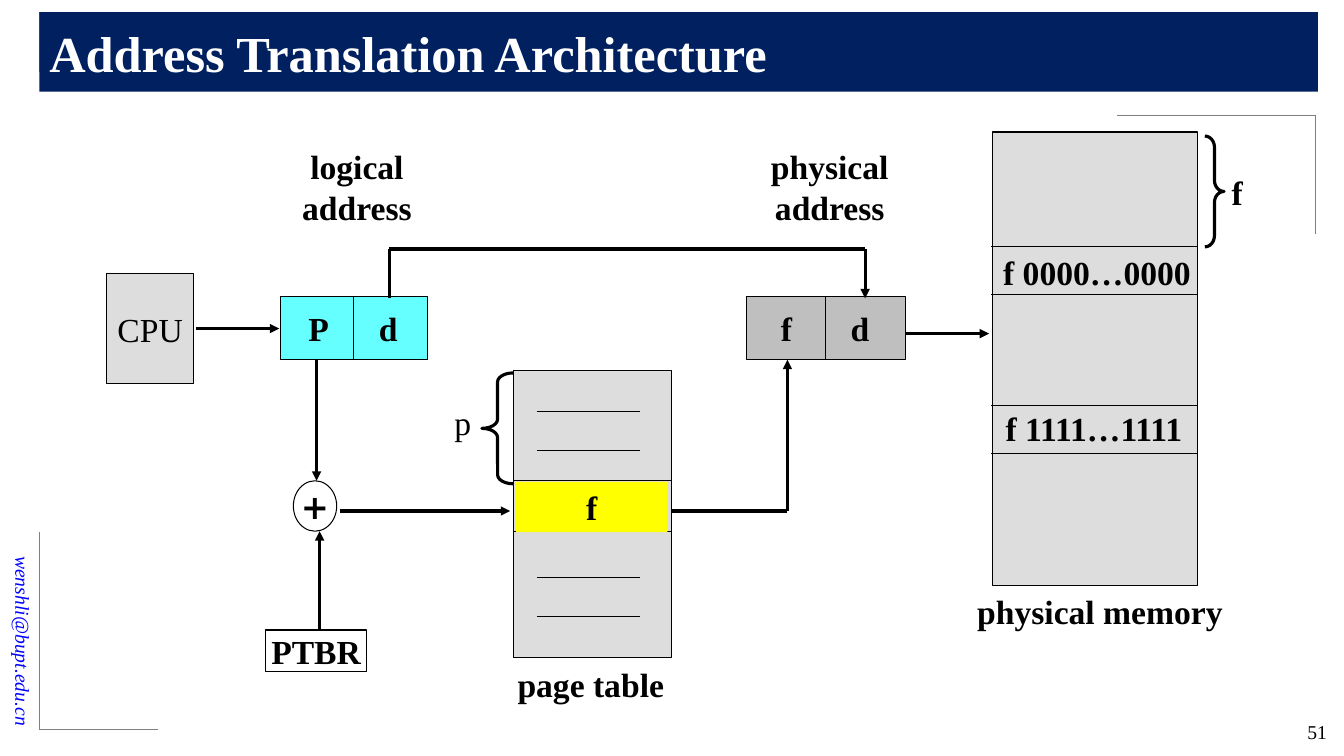
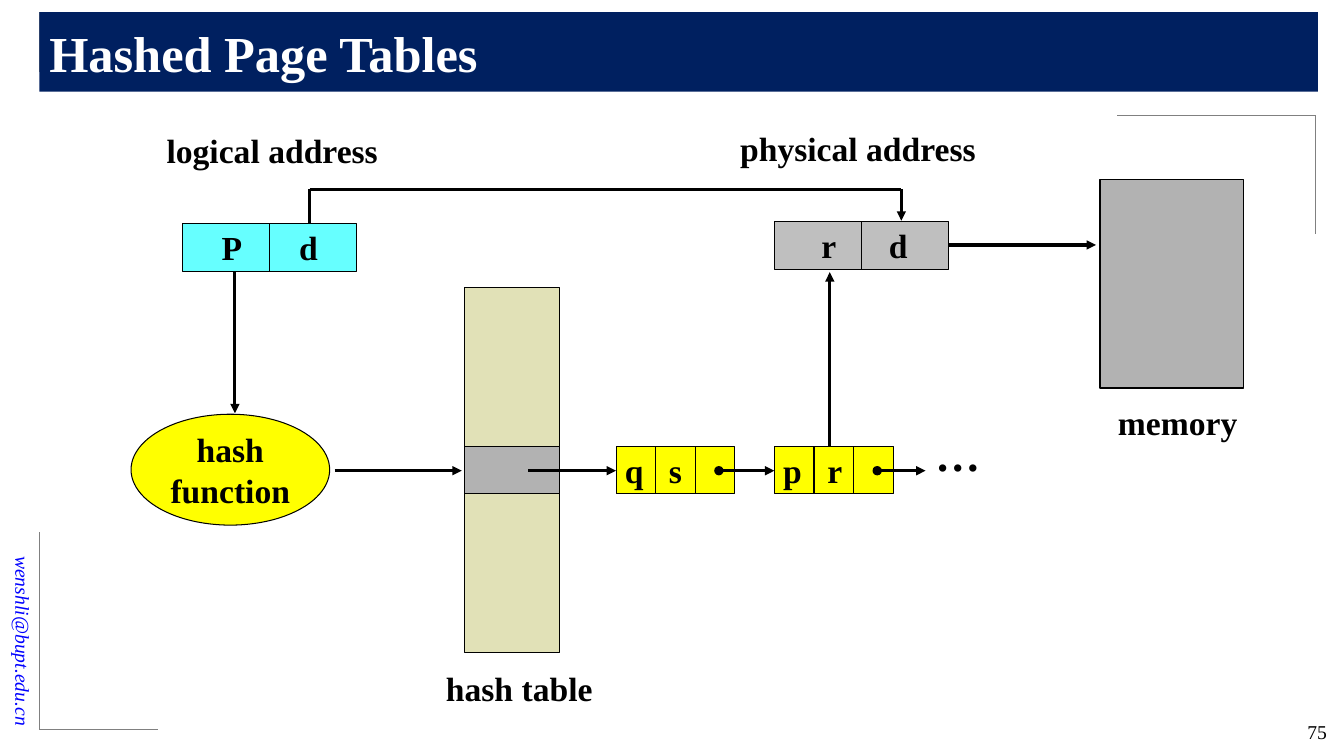
import pptx
import pptx.dml.color
import pptx.enum.shapes
import pptx.enum.text
import pptx.util
from pptx.oxml.ns import qn

SHAPE = pptx.enum.shapes.MSO_SHAPE
ALIGN = pptx.enum.text.PP_ALIGN
EMU_PER_PX = 9144  # 100 px to the inch

SERIF = "Times New Roman"
THEME = {
    "colours": {
        "navy": "002060", "white": "FFFFFF", "black": "000000", "blue": "0000FF",
        "rule": "808080", "light": "DDDDDD", "silver": "BFBFBF", "grey": "B2B2B2",
        "cyan": "66FFFF", "yellow": "FFFF00", "sand": "E1E1B7",
    },
    "fonts": {
        "title": {"name": SERIF, "size": 36, "bold": True, "color": "white"},
        "label": {"name": SERIF, "size": 24, "bold": True, "color": "black"},
        "plain": {"name": SERIF, "size": 24, "bold": False, "color": "black"},
        "symbol": {"name": "DejaVu Sans", "size": 24, "bold": True, "color": "black"},
        "dots": {"name": SERIF, "size": 32, "bold": True, "color": "black"},
        "contact": {"name": SERIF, "size": 14, "italic": True, "color": "blue"},
        "number": {"name": SERIF, "size": 14, "color": "black"},
    },
    "lines": {"frame": 0.5, "thin": 0.75, "thick": 2.25},
}

# ---- Content: positions in px, drawn from back to front ----
FRAME_CORNERS = [
    [(39, 71), (39, 12), (236, 12)],
    [(39, 528), (39, 724), (157, 724)],
    [(1305, 232), (1305, 114), (1108, 114)],
]
CONTACT = "wenshli@bupt.edu.cn"

ADDRESS_TRANSLATION = [
    ("box", {"area": (106, 271, 86, 110), "fill": "light", "text": "CPU", "font": "plain"}),
    ("label", {"text": "logical\naddress", "center": (354, 185)}),
    ("cells", {"area": (278, 294, 146, 63), "fill": "cyan", "count": 2,
               "labels": [("P", 316), ("d", 385)]}),
    # Page table
    ("label", {"text": "page table", "center": (586, 679)}),
    ("box", {"area": (509, 368, 157, 284), "fill": "light"}),
    ("rules", {"left": 509, "right": 667, "tops": [477, 527]}),
    ("rules", {"left": 533, "right": 635, "tops": [408, 447, 573, 612]}),
    ("box", {"area": (512, 478, 150, 50), "fill": "yellow", "text": "f", "outline": None}),
    ("label", {"text": "p", "center": (459, 419), "font": "plain"}),
    ("box", {"area": (478, 370, 31, 110), "preset": SHAPE.LEFT_BRACE, "outline": "thick",
             "adjust": 0.29}),
    # Physical address
    ("label", {"text": "physical\naddress", "center": (823, 185)}),
    ("cells", {"area": (740, 294, 158, 63), "fill": "silver", "count": 2,
               "labels": [("f", 780), ("d", 853)]}),
    # Physical memory
    ("box", {"area": (984, 131, 204, 450), "fill": "light"}),
    ("rules", {"left": 983, "right": 1187, "tops": [245, 292, 402, 450]}),
    ("label", {"text": "f 0000…0000", "center": (1088, 270)}),
    ("label", {"text": "f 1111…1111", "center": (1085, 425)}),
    ("label", {"text": "physical memory", "center": (1091, 606)}),
    ("box", {"area": (1195, 135, 19, 110), "preset": SHAPE.RIGHT_BRACE, "outline": "thick",
             "adjust": 0.58}),
    ("label", {"text": "f", "center": (1227, 191)}),
    # Base register and adder
    ("box", {"area": (263, 625, 101, 41), "fill": "white", "text": "PTBR"}),
    ("box", {"area": (291, 477, 43, 50), "fill": "white", "text": "+", "font": "symbol",
             "preset": SHAPE.OVAL}),
    # Flow
    ("route", {"points": [(194, 326), (277, 326)]}),
    ("route", {"points": [(386, 296), (386, 247), (858, 247), (858, 296)]}),
    ("route", {"points": [(314, 357), (314, 477)]}),
    ("route", {"points": [(317, 625), (317, 527)]}),
    ("route", {"points": [(337, 507), (506, 507)]}),
    ("route", {"points": [(667, 507), (781, 507), (781, 357)]}),
    ("route", {"points": [(898, 331), (981, 331)]}),
]

HASHED_TABLES = [
    ("label", {"text": "logical address", "center": (270, 149)}),
    ("cells", {"area": (181, 222, 173, 47), "fill": "cyan", "count": 2,
               "labels": [("P", 230), ("d", 306)]}),
    ("box", {"area": (130, 411, 197, 110), "fill": "yellow", "text": "hash\nfunction",
             "preset": SHAPE.OVAL}),
    # Hash table
    ("box", {"area": (461, 285, 94, 158), "fill": "sand"}),
    ("box", {"area": (461, 443, 94, 47), "fill": "grey"}),
    ("box", {"area": (461, 490, 94, 157), "fill": "sand"}),
    ("label", {"text": "hash table", "center": (515, 683)}),
    # Chained entries
    ("cells", {"area": (611, 443, 118, 47), "fill": "yellow", "count": 3,
               "labels": [("q", 629), ("s", 670)]}),
    ("cells", {"area": (768, 443, 118, 47), "fill": "yellow", "count": 3,
               "labels": [("p", 786), ("r", 828)]}),
    ("label", {"text": "…", "center": (950, 450), "font": "dots"}),
    # Physical address and memory
    ("label", {"text": "physical address", "center": (851, 147)}),
    ("cells", {"area": (768, 220, 173, 47), "fill": "silver", "count": 2,
               "labels": [("r", 822), ("d", 891)]}),
    ("box", {"area": (1091, 178, 142, 207), "fill": "grey"}),
    ("label", {"text": "memory", "center": (1168, 419)}),
    # Flow
    ("route", {"points": [(233, 269), (233, 410)]}),
    ("route", {"points": [(332, 467), (458, 467)]}),
    ("route", {"points": [(524, 467), (611, 467)]}),
    ("route", {"points": [(713, 467), (768, 467)], "head": "oval"}),
    ("route", {"points": [(870, 467), (918, 467)], "head": "oval"}),
    ("route", {"points": [(823, 443), (823, 270)]}),
    ("route", {"points": [(307, 222), (307, 188), (894, 188), (894, 219)]}),
    ("route", {"points": [(941, 243), (1087, 243)]}),
]

SLIDES = [
    ("Address Translation Architecture", 51, ADDRESS_TRANSLATION),
    ("Hashed Page Tables", 75, HASHED_TABLES),
]


# ---- Helpers ----
def px(*lengths):
    return [pptx.util.Emu(round(length * EMU_PER_PX)) for length in lengths]


def colour(name):
    return pptx.dml.color.RGBColor.from_string(THEME["colours"][name])


def write_text(shape, text, font, align=ALIGN.CENTER, inset=0, wrap=False):
    frame = shape.text_frame
    side = px(inset)[0]
    settings = {
        "word_wrap": wrap, "vertical_anchor": pptx.enum.text.MSO_ANCHOR.MIDDLE,
        "margin_left": side, "margin_right": side, "margin_top": 0, "margin_bottom": 0,
    }
    for name, value in settings.items():
        setattr(frame, name, value)
    frame.text = text
    for paragraph in frame.paragraphs:
        paragraph.alignment = align
        for name, value in THEME["fonts"][font].items():
            if name == "color":
                paragraph.font.color.rgb = colour(value)
            else:
                setattr(paragraph.font, name, pptx.util.Pt(value) if name == "size" else value)


def draw_box(slide, area, fill=None, text="", font="label", preset=SHAPE.RECTANGLE,
             outline="thin", adjust=None):
    shape = slide.shapes.add_shape(preset, *px(*area))
    shape.shadow.inherit = False
    if fill:
        shape.fill.solid()
        shape.fill.fore_color.rgb = colour(fill)
    else:
        shape.fill.background()
    if outline:
        shape.line.color.rgb = colour("black")
        shape.line.width = pptx.util.Pt(THEME["lines"][outline])
    else:
        shape.line.fill.background()
    if adjust is not None:
        shape.adjustments[0] = adjust
    if text:
        write_text(shape, text, font)
    return shape


def draw_label(slide, text, center, font="label"):
    width, height = 260, 40 * len(text.split("\n"))
    x, y = center
    shape = slide.shapes.add_textbox(*px(x - width / 2, y - height / 2, width, height))
    write_text(shape, text, font)


def draw_route(slide, points, weight="thick", line_colour="black", head=None, tail="triangle"):
    """Join the points with straight lines; head and tail mark the two ends."""
    lines = []
    for start, end in zip(points, points[1:]):
        connector = slide.shapes.add_connector(
            pptx.enum.shapes.MSO_CONNECTOR.STRAIGHT, *px(*start, *end))
        connector.line.color.rgb = colour(line_colour)
        connector.line.width = pptx.util.Pt(THEME["lines"][weight])
        properties = connector._element.spPr
        properties.append(properties.makeelement(qn("a:effectLst"), {}))
        lines.append(connector.line._get_or_add_ln())
    for line, tag, mark in ((lines[0], "a:headEnd", head), (lines[-1], "a:tailEnd", tail)):
        if mark:
            line.append(line.makeelement(qn(tag), {"type": mark}))


def draw_rules(slide, left, right, tops):
    for top in tops:
        draw_route(slide, [(left, top), (right, top)], "thin", tail=None)


def draw_cells(slide, area, fill, count, labels):
    """Draw a row of equal cells, with each label centred on its own x."""
    left, top, width, height = area
    draw_box(slide, area, fill)
    for index in range(1, count):
        x = left + width * index / count
        draw_route(slide, [(x, top), (x, top + height)], "thin", tail=None)
    for text, x in labels:
        draw_label(slide, text, (x, top + height / 2))


def draw_frame(slide, title, number):
    contact = slide.shapes.add_textbox(*px(-109, 581, 264, 34))
    contact.rotation = 90
    write_text(contact, CONTACT, "contact", ALIGN.RIGHT, inset=10, wrap=True)
    for points in FRAME_CORNERS:
        draw_route(slide, points, "frame", "rule", tail=None)
    band = draw_box(slide, (39, 12, 1268, 79), "navy", outline=None)
    write_text(band, title, "title", ALIGN.LEFT, inset=10, wrap=True)
    page = slide.shapes.add_textbox(*px(1215, 708, 111, 36))
    write_text(page, str(number), "number", ALIGN.RIGHT, inset=10, wrap=True)


DRAW = {"box": draw_box, "label": draw_label, "cells": draw_cells,
        "rules": draw_rules, "route": draw_route}


def main():
    presentation = pptx.Presentation()
    presentation.slide_width, presentation.slide_height = px(1333, 750)
    for title, number, parts in SLIDES:
        slide = presentation.slides.add_slide(presentation.slide_layouts[6])
        draw_frame(slide, title, number)
        for kind, values in parts:
            DRAW[kind](slide, **values)
    presentation.save("out.pptx")


if __name__ == "__main__":
    main()
